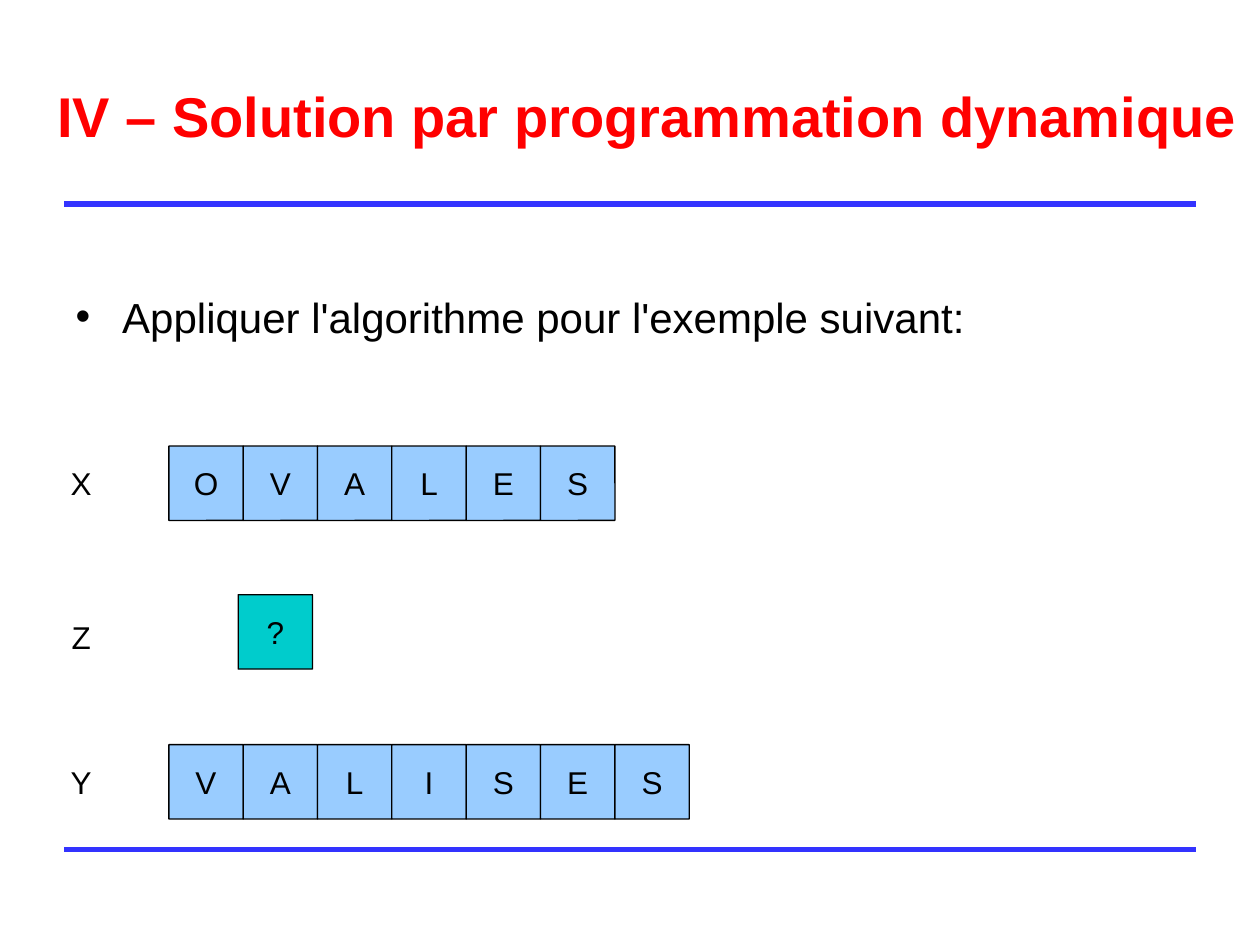
from dataclasses import dataclass

from lxml.etree import SubElement
from pptx import Presentation
from pptx.dml.color import RGBColor as Rgb
from pptx.enum.shapes import MSO_CONNECTOR as Link, MSO_SHAPE as Kind
from pptx.enum.text import MSO_ANCHOR as Anchor, MSO_AUTO_SIZE as Fit, PP_ALIGN as Align
from pptx.oxml.ns import qn
from pptx.util import Pt

PX = 9144  # 100 px to the inch
FONT = "Arial"
COLORS = {
    "title": "FF0000",
    "text": "000000",
    "rule": "3333FF",
    "cell": "99CCFF",
    "query": "00CCCC",
    "label": "FFFFFF",
}
CELL = 59


@dataclass
class Row:
    name: str
    label_top: int
    left: int
    top: int
    letters: str
    fill: str


ROWS = [
    Row("X", 354, 134, 354, "OVALES", "cell"),
    Row("Z", 476, 189, 472, "?", "query"),
    Row("Y", 591, 134, 591, "VALISES", "cell"),
]


def color(name: str) -> Rgb:
    return Rgb.from_string(COLORS[name])


def place(shape, left: int, top: int, width: int, height: int) -> None:
    shape.left, shape.top = left * PX, top * PX
    shape.width, shape.height = width * PX, height * PX


def write(shape, text: str, size: int, tint: str, inset: int,
          anchor: Anchor, align: Align, bold: bool = False) -> None:
    frame = shape.text_frame
    frame.text = text
    frame.word_wrap = True
    frame.auto_size = Fit.NONE
    frame.vertical_anchor = anchor
    frame.margin_left = frame.margin_right = 10 * PX
    frame.margin_top, frame.margin_bottom = inset * PX, 5 * PX
    line = frame.paragraphs[0]
    line.alignment = align
    line.space_before = Pt(0)
    font = line.runs[0].font
    font.name, font.size, font.bold = FONT, Pt(size), bold
    font.color.rgb = color(tint)


def bullet(line, indent: int) -> None:
    props = line._p.get_or_add_pPr()
    props.set("marL", str(indent * PX))
    props.set("indent", str(-indent * PX))
    tint = SubElement(props, qn("a:buClr"))
    SubElement(tint, qn("a:srgbClr"), val=COLORS["text"])
    SubElement(props, qn("a:buChar"), char="•")


def rule(slide, top: int) -> None:
    line = slide.shapes.add_connector(
        Link.STRAIGHT, 51 * PX, top * PX, 949 * PX, top * PX)
    line.line.color.rgb = color("rule")
    line.line.width = Pt(3)
    SubElement(line._element.spPr, qn("a:effectLst"))


def cell(slide, left: int, top: int, text: str, fill: str) -> None:
    box = slide.shapes.add_shape(
        Kind.ROUNDED_RECTANGLE, left * PX, top * PX, CELL * PX, CELL * PX)
    box.adjustments[0] = 0.003
    box.shadow.inherit = False
    box.fill.solid()
    box.fill.fore_color.rgb = color(fill)
    if fill == "label":
        box.line.fill.background()
    else:
        box.line.color.rgb = color("text")
        box.line.width = Pt(0.75)
    write(box, text, 18, "text", 5, Anchor.MIDDLE, Align.CENTER)


def main() -> None:
    deck = Presentation()
    deck.slide_width, deck.slide_height = 1000 * PX, 750 * PX
    slide = deck.slides.add_slide(deck.slide_layouts[1])

    # Rules above and below the content
    for top in (162, 674):
        rule(slide, top)

    # Title
    title = slide.shapes.title
    place(title, 4, 30, 1020, 125)
    write(title, "IV – Solution par programmation dynamique", 32, "title", 8,
          Anchor.MIDDLE, Align.CENTER, bold=True)
    title.text_frame.paragraphs[0].line_spacing = 0.93

    # Bulleted instruction
    body = slide.placeholders[1]
    place(body, 50, 175, 900, 495)
    write(body, "Appliquer l'algorithme pour l'exemple suivant:", 24, "text", 56,
          Anchor.TOP, Align.LEFT)
    bullet(body.text_frame.paragraphs[0], 37)

    # Labelled rows of letters
    for row in ROWS:
        cell(slide, 35, row.label_top, row.name, "label")
        for col, letter in enumerate(row.letters):
            cell(slide, row.left + col * CELL, row.top, letter, row.fill)

    deck.save("out.pptx")


if __name__ == "__main__":
    main()
